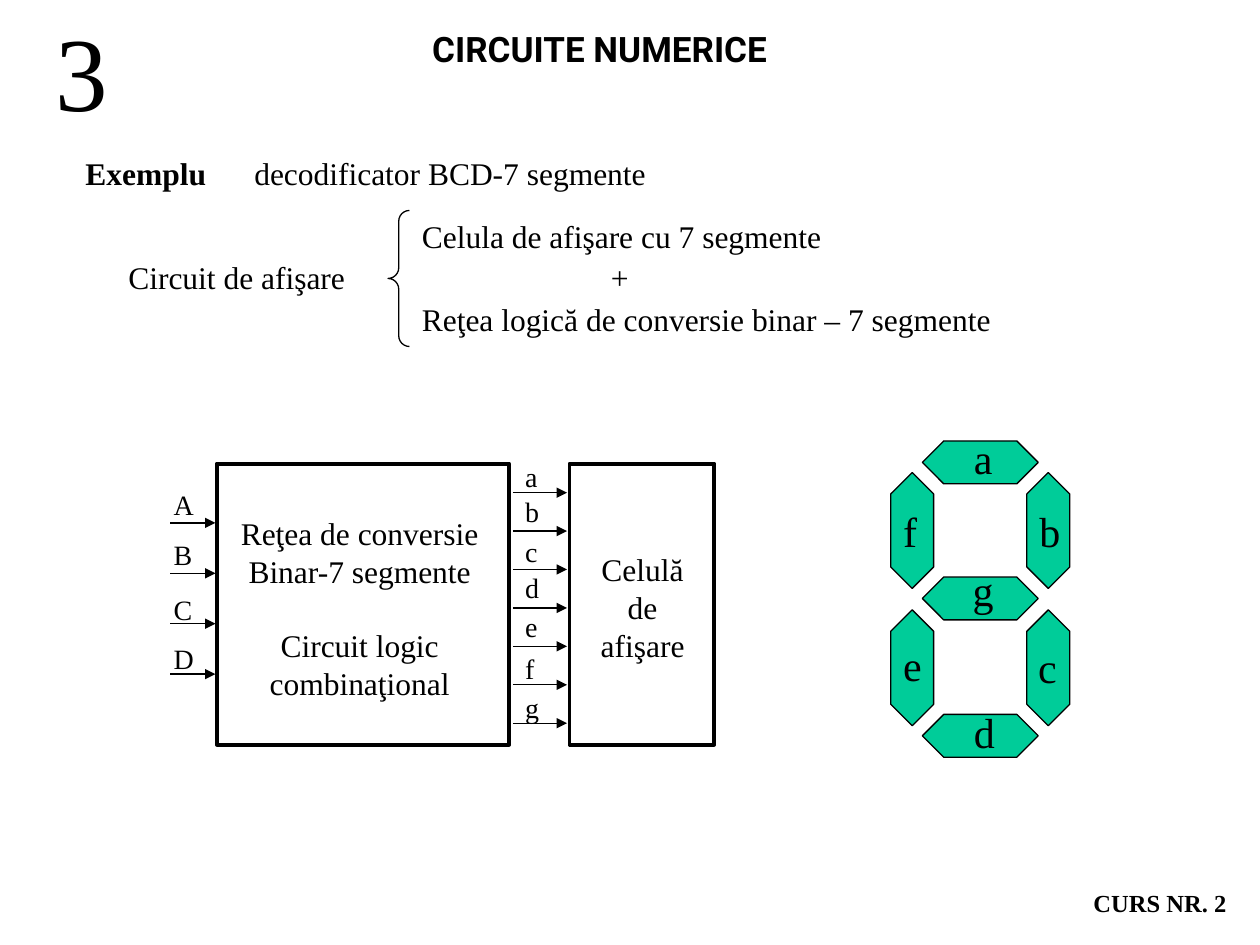
from dataclasses import dataclass
from typing import Any

import lxml.etree
import pptx
import pptx.dml.color
import pptx.enum.shapes
import pptx.enum.text
import pptx.oxml.ns
import pptx.util

Inches = pptx.util.Inches
Align = pptx.enum.text.PP_ALIGN
Shape = pptx.enum.shapes.MSO_SHAPE


@dataclass(frozen=True)
class Theme:
    ink: str = "000000"
    green: str = "00CC99"
    head: str = "Roboto"
    font: str = "Times New Roman"
    title: int = 20
    digit: int = 60
    foot: int = 14
    body: int = 18
    glyph: int = 24
    pin: int = 16
    thin: float = 0.75
    thick: float = 2.25


THEME = Theme()
HALF, TIP = 0.46, 0.17  # half length and half width of a segment


@dataclass(frozen=True)
class Label:
    text: str
    left: float
    top: float
    width: float
    height: float = 0.4
    size: int = THEME.body
    bold: bool = False
    wrap: bool = False
    align: Any = Align.LEFT


@dataclass(frozen=True)
class Segment:
    name: str
    mid_x: float
    mid_y: float
    upright: bool
    text_x: float
    text_y: float


def color(code: str) -> Any:
    return pptx.dml.color.RGBColor.from_string(code)


def set_line(line: Any, width: float) -> None:
    line.color.rgb = color(THEME.ink)
    line.width = pptx.util.Pt(width)


def add_run(para: Any, text: str, size: int, bold: bool = False,
            font: str = THEME.font) -> None:
    run = para.add_run()
    run.text = text
    run.font.name = font
    run.font.size = pptx.util.Pt(size)
    run.font.bold = bold
    run.font.color.rgb = color(THEME.ink)


def add_label(shapes: Any, item: Label) -> Any:
    box = shapes.add_textbox(Inches(item.left), Inches(item.top),
                             Inches(item.width), Inches(item.height))
    frame = box.text_frame
    frame.word_wrap = item.wrap
    for row, text in enumerate(item.text.split("\n")):
        para = frame.add_paragraph() if row else frame.paragraphs[0]
        para.alignment = item.align
        add_run(para, text, item.size, item.bold)
    return frame


def add_frame(shapes: Any, kind: Any, left: float, top: float, width: float,
              height: float, line: float) -> Any:
    shape = shapes.add_shape(kind, Inches(left), Inches(top),
                             Inches(width), Inches(height))
    shape.shadow.inherit = False
    shape.fill.background()
    set_line(shape.line, line)
    return shape


def add_arrow(shapes: Any, start: float, end: float, y: float) -> None:
    wire = shapes.add_connector(pptx.enum.shapes.MSO_CONNECTOR.STRAIGHT,
                                Inches(start), Inches(y), Inches(end), Inches(y))
    set_line(wire.line, THEME.thin)
    tail = pptx.oxml.ns.qn("a:tailEnd")
    lxml.etree.SubElement(wire.line._get_or_add_ln(), tail, type="triangle")
    props = wire._element.spPr
    lxml.etree.SubElement(props, pptx.oxml.ns.qn("a:effectLst"))


def add_segment(shapes: Any, seg: Segment) -> None:
    flat = HALF - TIP
    points = [(-HALF, 0), (-flat, -TIP), (flat, -TIP),
              (HALF, 0), (flat, TIP), (-flat, TIP)]
    if seg.upright:
        points = [(y, x) for x, y in points]
    spots = [(Inches(seg.mid_x + x), Inches(seg.mid_y + y)) for x, y in points]
    draft = shapes.build_freeform(*spots[0])
    draft.add_line_segments(spots[1:], close=True)
    shape = draft.convert_to_shape()
    shape.shadow.inherit = False
    shape.fill.solid()
    shape.fill.fore_color.rgb = color(THEME.green)
    set_line(shape.line, THEME.thin)


def add_title(slide: Any, text: str) -> None:
    title = slide.shapes.title
    title.left, title.top = Inches(3.33), Inches(0.17)
    title.width, title.height = Inches(3.03), Inches(0.44)
    frame = title.text_frame
    frame.word_wrap = False
    frame.auto_size = pptx.enum.text.MSO_AUTO_SIZE.NONE
    frame.vertical_anchor = pptx.enum.text.MSO_ANCHOR.TOP
    frame.paragraphs[0].alignment = Align.LEFT
    add_run(frame.paragraphs[0], text, THEME.title, True, THEME.head)


def add_intro(shapes: Any) -> None:
    for item in (
        Label("CURS NR. 2", 8.58, 7, 1.35, 0.34, THEME.foot, True),
        Label("3", 0.34, 0, 0.61, 1.1, THEME.digit),
        Label("Exemplu", 0.58, 1.17, 1.42, bold=True, wrap=True),
        Label("decodificator BCD-7 segmente", 1.92, 1.17, 3.67, wrap=True),
        Label("Circuit de afişare", 0.92, 2, 2.08, wrap=True),
        Label("Celula de afişare cu 7 segmente", 3.25, 1.67, 3.42, wrap=True),
        Label("+", 4.75, 2, 0.42, wrap=True),
        Label("Reţea logică de conversie binar – 7 segmente", 3.25, 2.33, 5.67,
              wrap=True),
    ):
        add_label(shapes, item)
    brace = add_frame(shapes, Shape.LEFT_BRACE, 3.08, 1.67, 0.17, 1.08, THEME.thin)
    brace.adjustments[0] = 0.5


def add_digit(shapes: Any) -> None:
    segs = (
        Segment("a", 7.78, 3.67, False, 7.63, 3.38),
        Segment("b", 8.32, 4.21, True, 8.15, 3.96),
        Segment("c", 8.32, 5.3, True, 8.14, 5.04),
        Segment("d", 7.78, 5.84, False, 7.63, 5.56),
        Segment("e", 7.24, 5.3, True, 7.07, 5.03),
        Segment("f", 7.24, 4.21, True, 7.07, 3.96),
        Segment("g", 7.78, 4.75, False, 7.62, 4.43),
    )
    for seg in segs:
        add_segment(shapes, seg)
    for seg in segs:
        width = 0.31 if seg.name == "f" else 0.35
        add_label(shapes, Label(seg.name, seg.text_x, seg.text_y, width, 0.5,
                                THEME.glyph))


def add_pins(shapes: Any, names: str, tops: tuple[float, ...], left: float,
             width: float, start: float, end: float, first: float,
             last: float) -> None:
    step = (last - first) / (len(names) - 1)
    for row, (name, top) in enumerate(zip(names, tops)):
        add_arrow(shapes, start, end, first + row * step)
        add_label(shapes, Label(name, left, top, width, 0.37, THEME.pin))


def add_blocks(shapes: Any) -> None:
    for left, width in ((1.72, 2.32), (4.52, 1.15)):
        add_frame(shapes, Shape.RECTANGLE, left, 3.68, width, 2.23, THEME.thick)
    add_pins(shapes, "ABCD", (3.82, 4.22, 4.65, 5.04),
             1.28, 0.35, 1.35, 1.71, 4.15, 5.35)
    add_pins(shapes, "abcdefg", (3.6, 3.88, 4.19, 4.48, 4.79, 5.12, 5.43),
             4.07, 0.31, 4.07, 4.5, 3.91, 5.74)
    logic = add_label(shapes, Label(
        "Reţea de conversie\nBinar-7 segmente\nCircuit logic\ncombinaţional",
        1.81, 4.03, 2.09, 1.6, align=Align.CENTER))
    logic.paragraphs[2].space_before = pptx.util.Pt(21)
    add_label(shapes, Label("Celulă de afişare", 4.61, 4.32, 0.98, 1,
                            wrap=True, align=Align.CENTER))


def main() -> None:
    deck = pptx.Presentation()
    deck.slide_width, deck.slide_height = Inches(10), Inches(7.5)
    slide = deck.slides.add_slide(deck.slide_layouts[5])
    # Heading and explanation
    add_title(slide, "CIRCUITE NUMERICE")
    add_intro(slide.shapes)
    # Seven-segment digit
    add_digit(slide.shapes.add_group_shape().shapes)
    # Decoder and display blocks
    add_blocks(slide.shapes.add_group_shape().shapes)
    deck.save("out.pptx")


if __name__ == "__main__":
    main()
